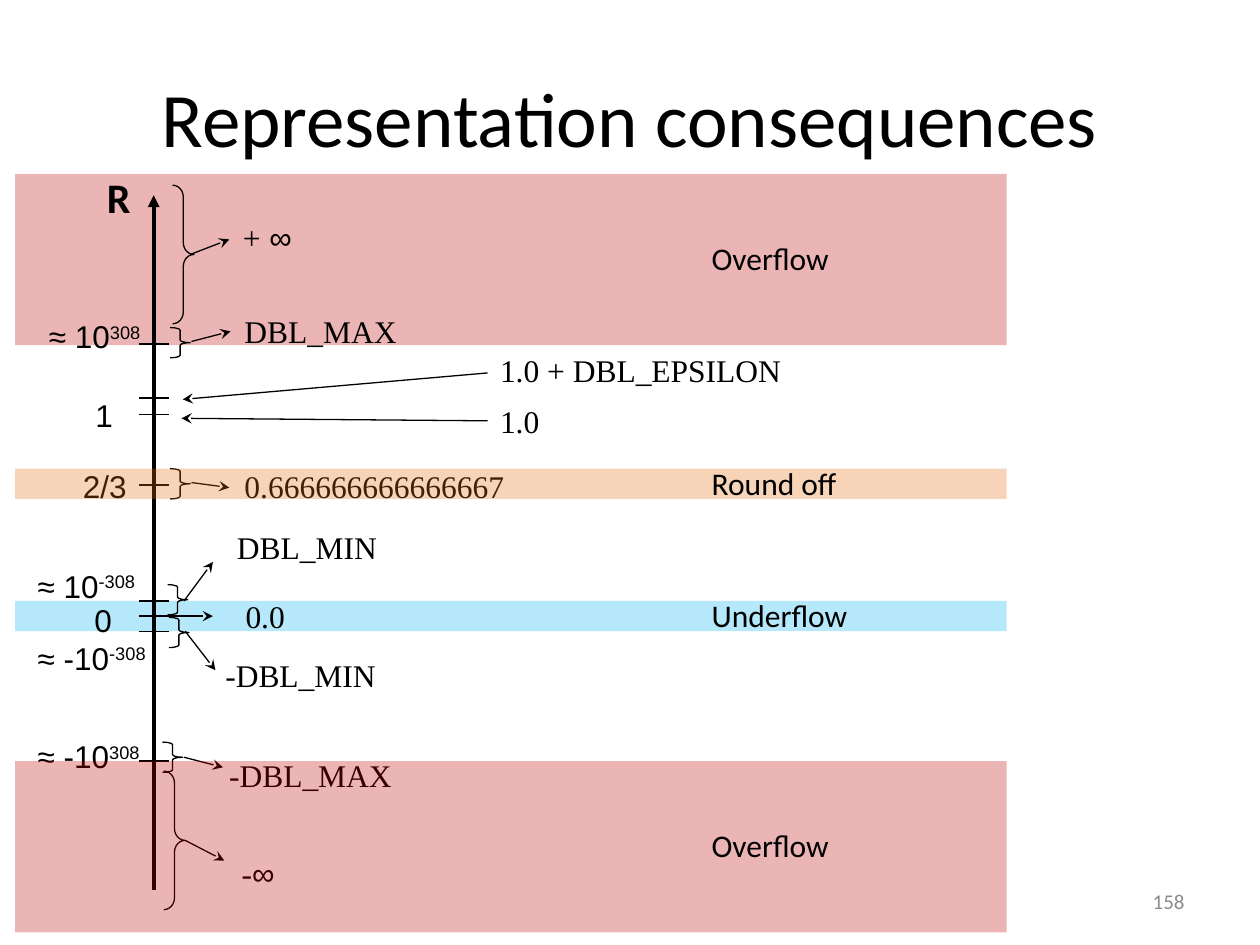
import lxml.etree
import pptx
import pptx.dml.color
import pptx.enum.shapes
import pptx.enum.text
import pptx.oxml.ns
import pptx.util

COLORS = {"ink": "000000", "gray": "8C8C8C", "over": "C00000",
          "round": "E46C0A", "under": "00B0F0"}
SANS, SERIF, BODY = "Arial", "Times New Roman", "Calibri"
COLS, ROWS = 100, 75          # grid of the slide
WIDE, HIGH = 10, 7.5          # slide size in inches
AXIS = 12.2                   # column of the number line
TICK = 2.4                    # length of a tick
SHAPE = pptx.enum.shapes.MSO_SHAPE
ALIGN = pptx.enum.text.PP_ALIGN
MIDDLE = pptx.enum.text.MSO_ANCHOR.MIDDLE


def col(n):
    return pptx.util.Inches(n * WIDE / COLS)


def row(n):
    return pptx.util.Inches(n * HIGH / ROWS)


def rgb(name):
    return pptx.dml.color.RGBColor.from_string(COLORS[name])


def add_tag(parent, tag, **attrs):
    return lxml.etree.SubElement(parent, pptx.oxml.ns.qn(tag), attrs)


def style(para, font, size=18, color="ink", bold=None):
    para.font.name = font
    para.font.size = pptx.util.Pt(size)
    para.font.color.rgb = rgb(color)
    para.font.bold = bold


def add_text(slide, x, y, w, text, font, h=4, **look):
    """Add a one-line label; a part after ^ is raised."""
    box = slide.shapes.add_textbox(col(x), row(y), col(w), row(h))
    box.text_frame.word_wrap = False
    para = box.text_frame.paragraphs[0]
    base, _, power = text.partition("^")
    para.add_run().text = base
    if power:
        run = para.add_run()
        run.text = power
        run._r.get_or_add_rPr().set("baseline", "30000")
    style(para, font, **look)
    return box


def add_inf(slide, x, y, w, sign, mark):
    """Add a signed infinity, with the sign in serif type."""
    para = add_text(slide, x, y, w, sign, SERIF).text_frame.paragraphs[0]
    run = para.add_run()
    run.text = mark
    run.font.name = SANS


def add_line(slide, start, end, head=None, width=0.75):
    line = slide.shapes.add_connector(
        pptx.enum.shapes.MSO_CONNECTOR.STRAIGHT,
        col(start[0]), row(start[1]), col(end[0]), row(end[1]))
    line.line.color.rgb = rgb("ink")
    line.line.width = pptx.util.Pt(width)
    if head:
        add_tag(line.line._get_or_add_ln(), "a:tailEnd", type=head)
    add_tag(line._element.spPr, "a:effectLst")


def add_tick(slide, y):
    add_line(slide, (AXIS - TICK / 2, y), (AXIS + TICK / 2, y))


def add_brace(slide, x, y, w=1.6, h=2.4, curl=0.125):
    brace = slide.shapes.add_shape(SHAPE.RIGHT_BRACE, col(x), row(y), col(w), row(h))
    brace.adjustments[0] = curl
    brace.fill.background()
    brace.line.color.rgb = rgb("ink")
    brace.line.width = pptx.util.Pt(0.75)
    brace.shadow.inherit = False


def add_band(slide, y, h, color, text, w):
    """Add a translucent zone with its name at mid height."""
    band = slide.shapes.add_shape(SHAPE.RECTANGLE, col(1.2), row(y), col(78.7), row(h))
    band.fill.solid()
    band.fill.fore_color.rgb = rgb(color)
    fill = band._element.spPr.find(pptx.oxml.ns.qn("a:solidFill"))
    add_tag(fill[0], "a:alpha", val="29000")
    band.line.fill.background()
    band.shadow.inherit = False
    add_text(slide, 55.5, y + h / 2 - 2.1, w, text, BODY)


def add_title(slide, text):
    title = slide.shapes.title
    title.left, title.top, title.width, title.height = col(5), row(3), col(90), row(12.5)
    title.text_frame.text = text
    title.text_frame.vertical_anchor = MIDDLE
    para = title.text_frame.paragraphs[0]
    para.alignment = ALIGN.CENTER
    style(para, BODY, size=44)


def add_number(slide, text):
    box = add_text(slide, 71.7, 69.5, 23.3, text, BODY, size=12, color="gray")
    box.text_frame.word_wrap = True
    box.text_frame.vertical_anchor = MIDDLE
    box.text_frame.paragraphs[0].alignment = ALIGN.RIGHT


def main():
    deck = pptx.Presentation()
    deck.slide_width, deck.slide_height = col(COLS), row(ROWS)
    slide = deck.slides.add_slide(deck.slide_layouts[5])

    # Zones behind the number line
    add_band(slide, 47.7, 2.4, "under", "Underflow", 12.9)
    add_band(slide, 13.8, 13.6, "over", "Overflow", 11.4)
    add_title(slide, "Representation consequences")

    # Number line with its ticks
    add_line(slide, (AXIS, 70.6), (AXIS, 15.5), "triangle", 2.25)
    add_text(slide, 7.5, 13.1, 4.5, "R", BODY, h=5.1, size=24, bold=True)
    for y in (27.3, 31.6, 32.9, 38.5, 47.7, 48.9, 50.1, 60.4):
        add_tick(slide, y)

    # Real values on the left
    for x, y, w, text in (
            (2.2, 24.7, 10.3, " ≈ 10^308"), (6.6, 30.9, 3.4, "1"),
            (5.6, 36.6, 5.8, "2/3"), (2, 44.5, 10.3, "≈ 10^-308"),
            (6.5, 47.2, 3.3, "0"), (2, 50.2, 11.1, "≈ -10^-308"),
            (2, 58, 10.5, "≈ -10^308")):
        add_text(slide, x, y, w, text, SANS)

    # Stored values on the right
    for x, y, w, text in (
            (17.8, 24.3, 14.7, " DBL_MAX"), (38.7, 27.4, 24.5, "1.0 + DBL_EPSILON"),
            (38.7, 31.4, 5.2, "1.0"), (17.8, 36.6, 23.3, " 0.666666666666667"),
            (17.2, 41.4, 13.8, " DBL_MIN"), (18.5, 46.9, 5.1, "0.0"),
            (16.9, 51.6, 14, "-DBL_MIN"), (17.2, 59.5, 14.9, "-DBL_MAX")):
        add_text(slide, x, y, w, text, SERIF)
    add_inf(slide, 18.3, 16.8, 5.9, "+", " ∞")
    add_inf(slide, 18.2, 67.3, 4.7, "-", "∞")

    # Braces around the ranges that share one stored value
    for x, y in ((13.5, 26), (13.5, 37.2), (13.3, 46.4), (13.4, 49), (12.9, 58.9)):
        add_brace(slide, x, y)
    for x, y in ((13.7, 14.7), (13, 61.2)):
        add_brace(slide, x, y, 1.7, 11, 0.55)

    # Arrows from ranges to stored values
    for start, end in (
            ((15.1, 20.2), (18.2, 19)), ((15.2, 27.1), (18.3, 26.3)),
            ((38.7, 29.6), (14.5, 31.7)), ((38.7, 33.4), (14.4, 33.2)),
            ((15.2, 38.3), (18.2, 38.7)), ((14.6, 47.7), (16.9, 44.6)),
            ((13, 48.9), (16.9, 48.9)), ((14.7, 50.1), (17.1, 53.2)),
            ((14.6, 60.1), (17.7, 60.9)), ((14.7, 66.7), (17.8, 68.3))):
        add_line(slide, start, end, "stealth")

    # Zones over the number line, and the slide number
    add_number(slide, "158")
    add_band(slide, 60.4, 13.6, "over", "Overflow", 11.4)
    add_band(slide, 37.2, 2.4, "round", "Round off", 12.1)

    deck.save("out.pptx")


if __name__ == "__main__":
    main()
